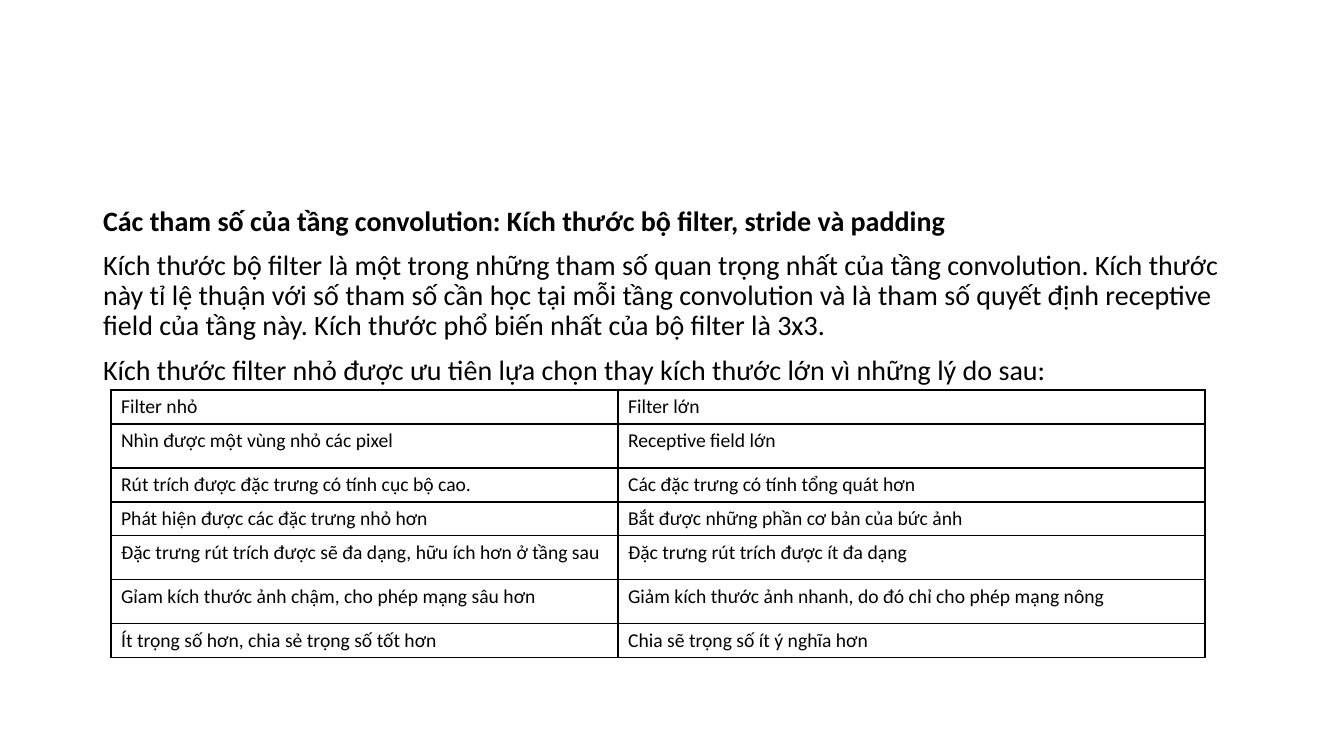
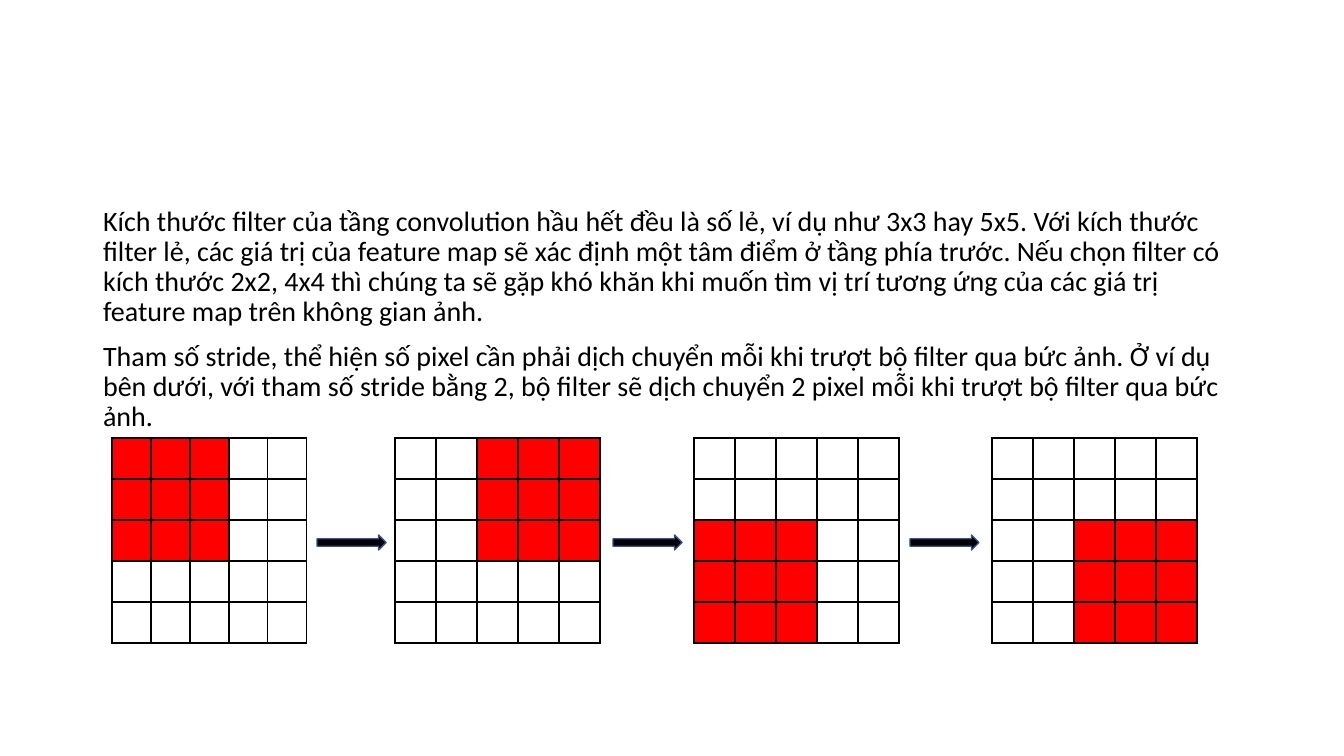
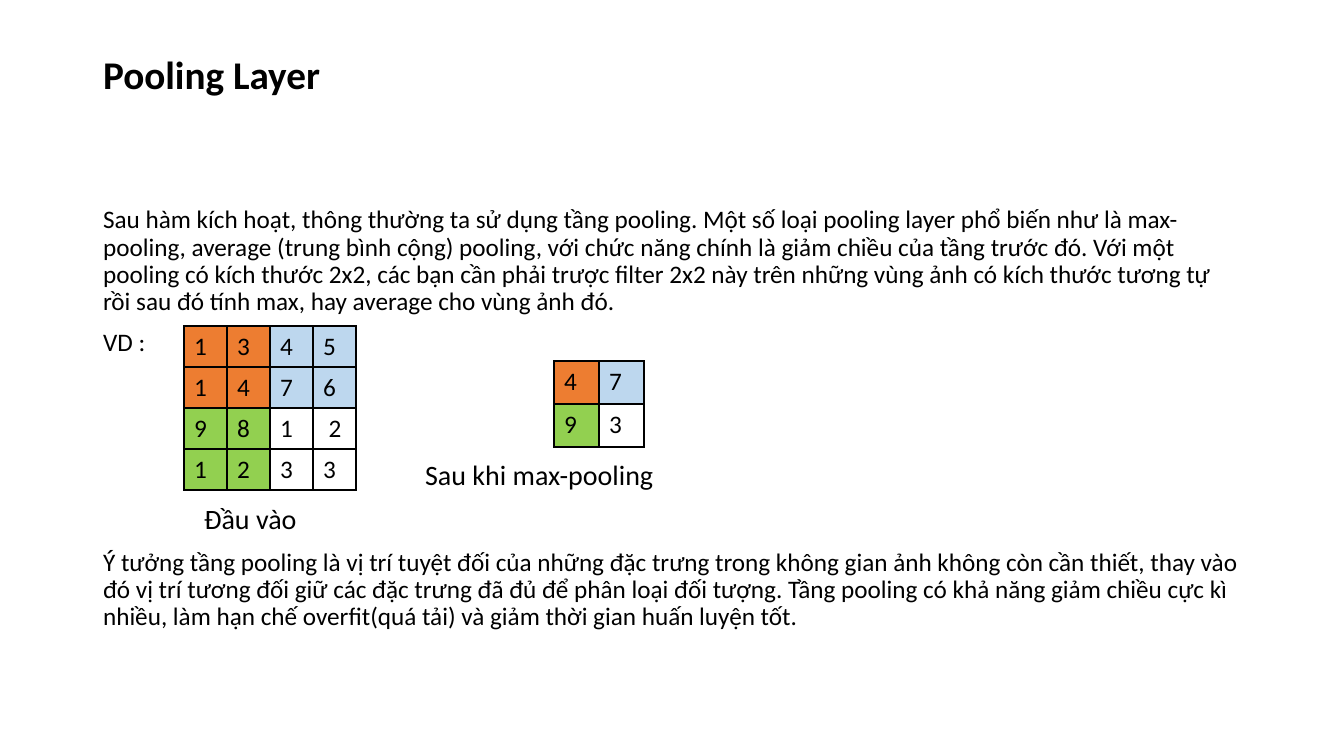
from lxml import etree
from pptx import Presentation, oxml, util
from pptx.dml.color import RGBColor
from pptx.enum import shapes, text
from pptx.oxml import ns

PIXEL = round(util.Inches(1) / 100.8)
FONT = "Calibri"
BLACK = RGBColor(0x00, 0x00, 0x00)
RED = RGBColor(0xFF, 0x00, 0x00)
ORANGE = RGBColor(0xED, 0x7D, 0x31)
BLUE = RGBColor(0xBD, 0xD7, 0xEE)
GREEN = RGBColor(0x92, 0xD0, 0x50)
ARROW_EDGE = RGBColor(0x32, 0x54, 0x91)
BORDER = (
    '<a:{side} xmlns:a="http://schemas.openxmlformats.org/drawingml/2006/main" w="12700">'
    '<a:solidFill><a:srgbClr val="{color}"/></a:solidFill></a:{side}>'
)


def fill_body(slide, entries):
    """Write (text, size, bold, left indent, space before) entries into the body."""
    frame = slide.placeholders[1].text_frame
    frame.auto_size = text.MSO_AUTO_SIZE.NONE
    frame.text = "\n".join(entry[0] for entry in entries)
    for paragraph, (_, size, bold, indent, gap) in zip(frame.paragraphs, entries):
        paragraph.line_spacing = 0.9
        paragraph.space_before = util.Pt(gap)
        properties = paragraph._p.get_or_add_pPr()
        properties.set("marL", str(indent * PIXEL))
        properties.set("indent", "0")
        etree.SubElement(properties, ns.qn("a:buNone"))
        font = paragraph.runs[0].font
        font.name, font.size, font.bold = FONT, util.Pt(size), bold
        font.color.rgb = BLACK


def add_grid(slide, left, top, widths, heights, texts, fills, size=18):
    """Add a black-ruled table; texts and fills map (row, column) to content."""
    frame = slide.shapes.add_table(
        len(heights), len(widths), left * PIXEL, top * PIXEL,
        sum(widths) * PIXEL, sum(heights) * PIXEL)
    table = frame.table
    table.first_row = table.horz_banding = False
    for column, width in zip(table.columns, widths):
        column.width = width * PIXEL
    for r, height in enumerate(heights):
        table.rows[r].height = height * PIXEL
        for c in range(len(widths)):
            cell = table.cell(r, c)
            properties = cell._tc.get_or_add_tcPr()
            for side in ("lnL", "lnR", "lnT", "lnB"):
                properties.append(oxml.parse_xml(BORDER.format(side=side, color=BLACK)))
            if (r, c) in fills:
                cell.fill.solid()
                cell.fill.fore_color.rgb = fills[r, c]
            else:
                cell.fill.background()
            if (r, c) in texts:
                cell.text = texts[r, c]
                font = cell.text_frame.paragraphs[0].runs[0].font
                font.name, font.size = FONT, util.Pt(size)
                font.color.rgb = BLACK


presentation = Presentation()
presentation.slide_width = 1344 * PIXEL
presentation.slide_height = 756 * PIXEL

# Shared layout: title and body frames
layout = presentation.slide_layouts[1]
for index, top, height in ((0, 40, 146), (1, 202, 480)):
    placeholder = layout.placeholders[index]
    placeholder.left, placeholder.top = 93 * PIXEL, top * PIXEL
    placeholder.width, placeholder.height = 1159 * PIXEL, height * PIXEL
filter_slide, stride_slide, pooling_slide = (
    presentation.slides.add_slide(layout) for _ in range(3))
for slide in (filter_slide, stride_slide):
    title = slide.shapes.title
    title.element.getparent().remove(title.element)

# Slide 1: small and large filters
fill_body(filter_slide, [
    ("Các tham số của tầng convolution: Kích thước bộ filter, stride và padding",
     20, True, 0, 10),
    ("Kích thước bộ filter là một trong những tham số quan trọng nhất của tầng "
     "convolution. Kích thước này tỉ lệ thuận với số tham số cần học tại mỗi tầng "
     "convolution và là tham số quyết định receptive field của tầng này. Kích thước "
     "phổ biến nhất của bộ filter là 3x3.", 20, False, 0, 10),
    ("Kích thước filter nhỏ được ưu tiên lựa chọn thay kích thước lớn vì những lý do sau:",
     20, False, 0, 10),
])
comparison = [
    ("Filter nhỏ", "Filter lớn"),
    ("Nhìn được một vùng nhỏ các pixel", "Receptive field lớn"),
    ("Rút trích được đặc trưng có tính cục bộ cao.", "Các đặc trưng có tính tổng quát hơn"),
    ("Phát hiện được các đặc trưng nhỏ hơn", "Bắt được những phần cơ bản của bức ảnh"),
    ("Đặc trưng rút trích được sẽ đa dạng, hữu ích hơn ở tầng sau",
     "Đặc trưng rút trích được ít đa dạng"),
    ("Gỉam kích thước ảnh chậm, cho phép mạng sâu hơn",
     "Giảm kích thước ảnh nhanh, do đó chỉ cho phép mạng nông"),
    ("Ít trọng số hơn, chia sẻ trọng số tốt hơn", "Chia sẽ trọng số ít ý nghĩa hơn"),
]
comparison_texts = {
    (r, c): value for r, row in enumerate(comparison) for c, value in enumerate(row)}
add_grid(filter_slide, 111, 390, [507, 587], [34, 44, 34, 34, 44, 44, 34],
         comparison_texts, {}, 14)

# Slide 2: a 3x3 filter moving with stride 2
fill_body(stride_slide, [
    ("Kích thước filter của tầng convolution hầu hết đều là số lẻ, ví dụ như 3x3 hay "
     "5x5. Với kích thước filter lẻ, các giá trị của feature map sẽ xác định một tâm "
     "điểm ở tầng phía trước. Nếu chọn filter có kích thước 2x2, 4x4 thì chúng ta sẽ "
     "gặp khó khăn khi muốn tìm vị trí tương ứng của các giá trị feature map trên "
     "không gian ảnh.", 20, False, 0, 10),
    ("Tham số stride, thể hiện số pixel cần phải dịch chuyển mỗi khi trượt bộ filter "
     "qua bức ảnh. Ở ví dụ bên dưới, với tham số stride bằng 2, bộ filter sẽ dịch "
     "chuyển 2 pixel mỗi khi trượt bộ filter qua bức ảnh.", 20, False, 0, 10),
])
filter_steps = [(112, 39, 0, 0), (395, 41, 0, 2), (694, 41, 2, 0), (992, 41, 2, 2)]
for left, cell_width, first_row, first_column in filter_steps:
    window = {(first_row + r, first_column + c): RED for r in range(3) for c in range(3)}
    add_grid(stride_slide, left, 438, [cell_width] * 5, [41] * 5, {}, window)
for left in (317, 613, 910):
    arrow = stride_slide.shapes.add_shape(
        shapes.MSO_SHAPE.RIGHT_ARROW, left * PIXEL, 535 * PIXEL, 69 * PIXEL, 15 * PIXEL)
    arrow.shadow.inherit = False
    arrow.fill.solid()
    arrow.fill.fore_color.rgb = BLACK
    arrow.line.color.rgb = ARROW_EDGE
    arrow.line.width = util.Pt(1)

# Slide 3: max-pooling
title = pooling_slide.shapes.title
title_frame = title.text_frame
title_frame.text = "Pooling Layer"
title_frame.auto_size = text.MSO_AUTO_SIZE.NONE
title_frame.vertical_anchor = text.MSO_ANCHOR.MIDDLE
title_frame.margin_bottom = 77 * PIXEL
title_paragraph = title_frame.paragraphs[0]
title_paragraph.alignment = text.PP_ALIGN.LEFT
title_paragraph.line_spacing = 0.9
title_font = title_paragraph.runs[0].font
title_font.name, title_font.size, title_font.bold = FONT, util.Pt(28), True
title_font.color.rgb = BLACK

fill_body(pooling_slide, [
    ("Sau hàm kích hoạt, thông thường ta sử dụng tầng pooling. Một số loại pooling "
     "layer phổ biến như là max-pooling, average (trung bình cộng) pooling, với chức "
     "năng chính là giảm chiều của tầng trước đó. Với một pooling có kích thước 2x2, "
     "các bạn cần phải trược filter 2x2 này trên những vùng ảnh có kích thước tương tự "
     "rồi sau đó tính max, hay average cho vùng ảnh đó.", 18, False, 0, 10),
    ("VD :", 18, False, 0, 10),
    ("Sau khi max-pooling", 20, False, 322, 74),
    ("Đầu vào", 20, False, 101, 10),
    ("Ý tưởng tầng pooling là vị trí tuyệt đối của những đặc trưng trong không gian ảnh "
     "không còn cần thiết, thay vào đó vị trí tương đối giữ các đặc trưng đã đủ để phân "
     "loại đối tượng. Tầng pooling có khả năng giảm chiều cực kì nhiều, làm hạn chế "
     "overfit(quá tải) và giảm thời gian huấn luyện tốt.", 18, False, 0, 10),
])
region_colors = {(0, 0): ORANGE, (0, 1): BLUE, (1, 0): GREEN}
input_values = [("1", "3", "4", "5"), ("1", "4", "7", "6"),
                ("9", "8", "1", " 2"), ("1", "2", "3", "3")]
pooled_values = [("4", "7"), ("9", "3")]
for left, top, width, height, values in (
        (184, 326, 43, 41, input_values), (554, 361, 45, 43, pooled_values)):
    count = len(values)
    region = count // 2
    texts = {(r, c): values[r][c] for r in range(count) for c in range(count)}
    fills = {(r, c): region_colors[r // region, c // region] for r, c in texts
             if (r // region, c // region) in region_colors}
    add_grid(pooling_slide, left, top, [width] * count, [height] * count, texts, fills)

presentation.save("out.pptx")
